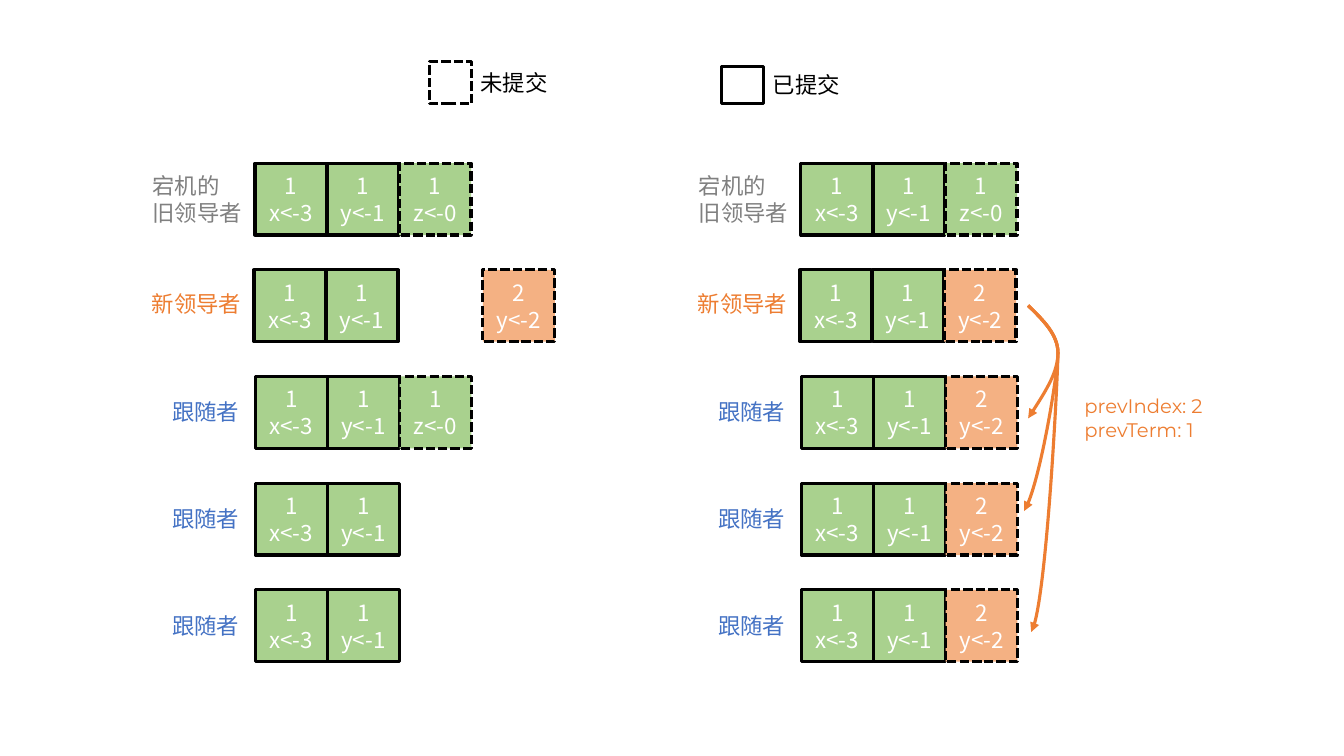
from lxml import etree
from pptx import Presentation
from pptx import util as u
from pptx.dml import color
from pptx.enum import dml, shapes, text
from pptx.oxml import ns

Pt = u.Pt
BLACK = color.RGBColor(0x00, 0x00, 0x00)
WHITE = color.RGBColor(0xFF, 0xFF, 0xFF)
GREEN = color.RGBColor(0xA9, 0xD1, 0x8E)
PEACH = color.RGBColor(0xF4, 0xB1, 0x83)
ORANGE = color.RGBColor(0xED, 0x7D, 0x31)
BLUE = color.RGBColor(0x44, 0x72, 0xC4)
GRAY = color.RGBColor(0x80, 0x80, 0x80)

ENTRY_SIZE = 51.4
ENTRY_PITCH = 51.5
LOG_LEFT = 182.1
LOG_TOP = 116.5
LOG_PITCH = 76.2
AFTER_SHIFT = 390

X3 = ("1\nx<-3", GREEN, False)
Y1 = ("1\ny<-1", GREEN, False)
Z0 = ("1\nz<-0", GREEN, True)
Y2 = ("2\ny<-2", PEACH, True)

OLD_LEADER = ("宕机的\n旧领导者", GRAY, 102, 3, 86.4, 46.1)
NEW_LEADER = ("新领导者", ORANGE, 101.5, 10.8, 86.4, 26.6)
FOLLOWER = ("跟随者", BLUE, 115.9, 12.2, 72.7, 26.6)
SERVERS = [OLD_LEADER, NEW_LEADER, FOLLOWER, FOLLOWER, FOLLOWER]
NUDGES = [0, -0.7, 0.3, 0.3, 0.3]

LOGS_BEFORE = [[X3, Y1, Z0], [X3, Y1], [X3, Y1, Z0], [X3, Y1], [X3, Y1]]
LOGS_AFTER = [[X3, Y1, Z0]] + [[X3, Y1, Y2]] * 4

SEND_START = (734.4, 218.2)
SEND_BEND = [(745, 228.5), (755.7, 239), (755.7, 252)]
REPLICATIONS = [
    [(755.7, 265.7), (745.2, 282.2), (734.4, 298.8)],
    [(755.7, 265.7), (742.3, 348.5), (731.5, 365)],
    [(755.7, 265.7), (747.4, 434.9), (736.6, 451.4)],
]


class LogSlide:
    font = "Noto Sans CJK SC"
    size = 16
    stroke = 2.25

    def __init__(self, slide):
        self.slide = slide

    def set_words(self, frame, words, ink, font=None, size=None, align=None):
        frame.text = words
        frame.word_wrap = True
        for paragraph in frame.paragraphs:
            paragraph.alignment = align
            for run in paragraph.runs:
                run.font.name = font or self.font
                run.font.size = Pt(size or self.size)
                run.font.color.rgb = ink
                east_asian = etree.SubElement(run.font._element, ns.qn("a:ea"))
                east_asian.set("typeface", font or self.font)

    def label(self, words, ink, left, top, width, height, font=None, size=None):
        label = self.slide.shapes.add_textbox(Pt(left), Pt(top), Pt(width), Pt(height))
        self.set_words(label.text_frame, words, ink, font, size)
        label.text_frame.auto_size = text.MSO_AUTO_SIZE.SHAPE_TO_FIT_TEXT

    def box(self, left, top, width, height, dashed, fill=None, words=None):
        box = self.slide.shapes.add_shape(
            shapes.MSO_SHAPE.RECTANGLE, Pt(left), Pt(top), Pt(width), Pt(height))
        box.shadow.inherit = False
        if fill is None:
            box.fill.background()
        else:
            box.fill.solid()
            box.fill.fore_color.rgb = fill
        box.line.color.rgb = BLACK
        box.line.width = Pt(self.stroke)
        if dashed:
            box.line.dash_style = dml.MSO_LINE.SQUARE_DOT
            box.line._ln.find(ns.qn("a:prstDash")).set("val", "sysDash")
        if words:
            box.text_frame.vertical_anchor = text.MSO_ANCHOR.MIDDLE
            self.set_words(box.text_frame, words, WHITE, align=text.PP_ALIGN.CENTER)

    def entry(self, left, top, content):
        words, fill, dashed = content
        self.box(left, top, ENTRY_SIZE, ENTRY_SIZE, dashed, fill, words)

    def logs(self, shift, logs):
        for row, (server, log) in enumerate(zip(SERVERS, logs)):
            top = LOG_TOP + row * LOG_PITCH
            words, ink, left, drop, width, height = server
            self.label(words, ink, left + shift, top + drop, width, height)
            for column, content in enumerate(log):
                left = LOG_LEFT + NUDGES[row] + shift + column * ENTRY_PITCH
                self.entry(left, top, content)

    def curved_arrow(self, start, controls):
        builder = self.slide.shapes.build_freeform(Pt(start[0]), Pt(start[1]))
        builder.add_line_segments([(Pt(x), Pt(y)) for x, y in controls], close=False)
        arrow = builder.convert_to_shape()
        arrow.shadow.inherit = False
        arrow.fill.background()
        arrow.line.color.rgb = ORANGE
        arrow.line.width = Pt(self.stroke)
        etree.SubElement(arrow.line._ln, ns.qn("a:tailEnd")).set("type", "triangle")
        outline = next(arrow._element.iter(ns.qn("a:path")))
        segments = outline.findall(ns.qn("a:lnTo"))
        for first in range(0, len(segments), 3):
            curve = etree.SubElement(outline, ns.qn("a:cubicBezTo"))
            for segment in segments[first:first + 3]:
                curve.append(segment[0])
                outline.remove(segment)


def main():
    deck = Presentation()
    deck.slide_width, deck.slide_height = Pt(960), Pt(540)
    page = LogSlide(deck.slides.add_slide(deck.slide_layouts[6]))

    page.box(306.7, 43.9, 30.2, 30.2, True)
    page.label("未提交", BLACK, 336.2, 46.1, 86.4, 26.6)
    page.box(515.5, 47.5, 30.2, 26.6, False)
    page.label("已提交", BLACK, 545, 47.5, 86.4, 26.6)

    page.logs(0, LOGS_BEFORE)
    page.entry(344.9, LOG_TOP + LOG_PITCH, Y2)
    page.logs(AFTER_SHIFT, LOGS_AFTER)

    for ending in REPLICATIONS:
        page.curved_arrow(SEND_START, SEND_BEND + ending)
    page.label("prevIndex: 2\nprevTerm: 1", ORANGE, 767.5, 277.9, 121, 41,
               "Montserrat", 14)
    deck.save("out.pptx")


if __name__ == "__main__":
    main()
